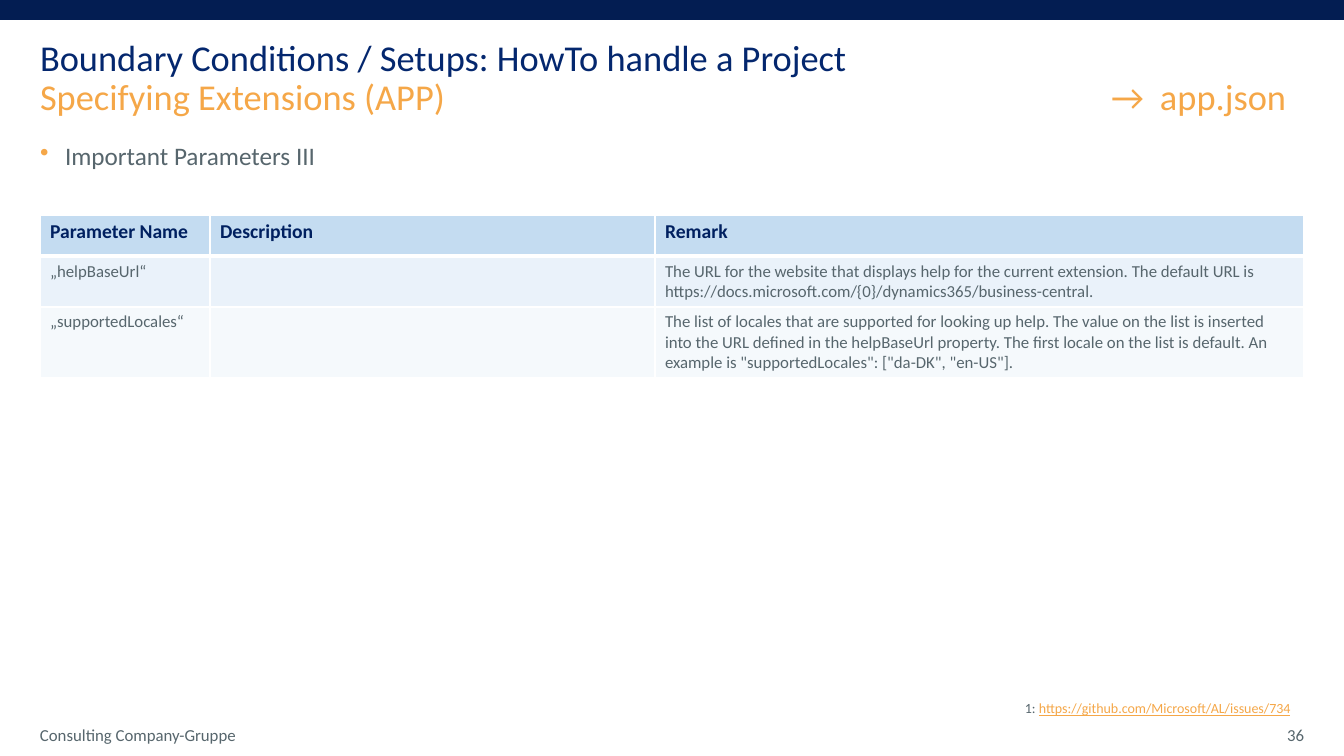
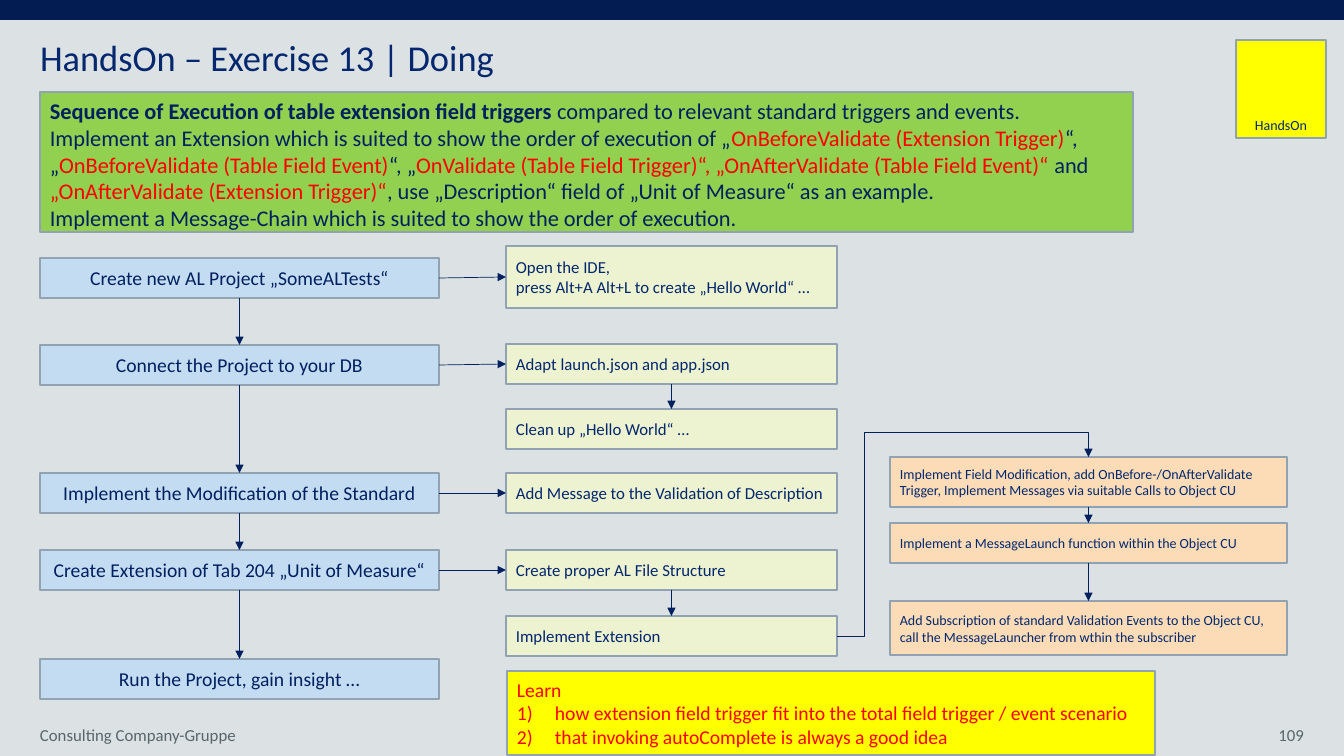
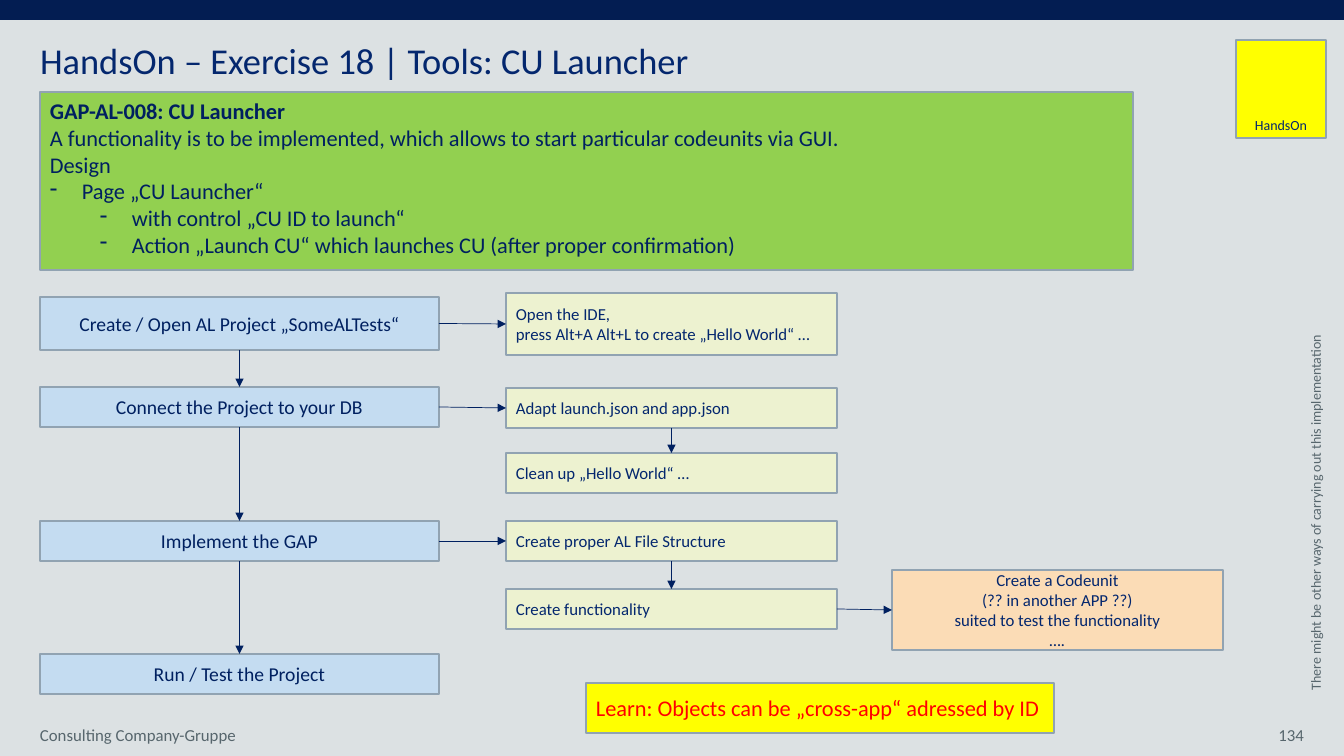
from dataclasses import dataclass
from itertools import pairwise

from lxml import etree
from pptx import Presentation
from pptx.dml.color import RGBColor
from pptx.enum.shapes import MSO_CONNECTOR, MSO_SHAPE
from pptx.enum.text import MSO_ANCHOR, PP_ALIGN
from pptx.oxml.ns import qn
from pptx.util import Emu, Pt

PX = 914400 / 100.8
FONT = "Calibri"
LEFT, CENTER, RIGHT = PP_ALIGN.LEFT, PP_ALIGN.CENTER, PP_ALIGN.RIGHT
TOP, MIDDLE, BOTTOM = MSO_ANCHOR.TOP, MSO_ANCHOR.MIDDLE, MSO_ANCHOR.BOTTOM
RECT = MSO_SHAPE.RECTANGLE
STRAIGHT, ELBOW = MSO_CONNECTOR.STRAIGHT, MSO_CONNECTOR.ELBOW
SITE_TOP, SITE_LEFT, SITE_BOTTOM, SITE_RIGHT = range(4)

WHITE = RGBColor(0xFF, 0xFF, 0xFF)
MIST = RGBColor(0xDC, 0xE1, 0xE3)
BAND = RGBColor(0x03, 0x1D, 0x52)
NAVY = RGBColor(0x04, 0x27, 0x6E)
INK = RGBColor(0x00, 0x20, 0x60)
GRAY = RGBColor(0x57, 0x66, 0x6D)
ORANGE = RGBColor(0xF5, 0xA7, 0x48)
RED = RGBColor(0xFF, 0x00, 0x00)
YELLOW = RGBColor(0xFF, 0xFF, 0x00)
GREEN = RGBColor(0x92, 0xD0, 0x50)
BLUE = RGBColor(0xC4, 0xDC, 0xF1)
OLIVE = RGBColor(0xED, 0xF2, 0xD0)
PEACH = RGBColor(0xFB, 0xDC, 0xB6)
OUTLINE = RGBColor(0x91, 0xA3, 0xB2)
ROW_FILLS = [BLUE, RGBColor(0xEA, 0xF2, 0xFA), RGBColor(0xF5, 0xF9, 0xFC)]


@dataclass
class Run:
    text: str
    color: RGBColor | None = None
    bold: bool = False
    italic: bool = False
    underline: bool = False


@dataclass
class Para:
    runs: list
    bullet: str = ""
    indent: int = 0
    hanging: int = 0
    level: int = 0
    bullet_color: RGBColor | None = None
    tabs: tuple = ()
    line_spacing: float | None = None


# Content
FOOTER = "Consulting Company-Gruppe"
NUMBERED = "arabicParenR"

PARAMETER_TITLE = [
    Run("Boundary Conditions / Setups: HowTo handle a Project\n"),
    Run("Specifying Extensions (APP)\t→\tapp.json", ORANGE),
]
PARAMETER_TABS = (1071, 1120)
PARAMETER_COLUMNS = [170, 445, 649]
PARAMETER_ROW_HEIGHTS = [41, 51, 70]
PARAMETERS = [
    ("Parameter Name", "Description", "Remark"),
    ("„helpBaseUrl“", "",
     "The URL for the website that displays help for the current extension. The default URL is "
     "https://docs.microsoft.com/{0}/dynamics365/business-central."),
    ("„supportedLocales“", "",
     "The list of locales that are supported for looking up help. The value on the list is "
     "inserted into the URL defined in the helpBaseUrl property. The first locale on the list "
     'is default. An example is "supportedLocales": ["da-DK", "en-US"].'),
]
SOURCE = Para([Run("1: "),
               Run("https://github.com/Microsoft/AL/issues/734", ORANGE, underline=True)])

OPEN_EDITOR = ["Open the IDE,", "press Alt+A Alt+L to create „Hello World“ …"]
ADAPT = ["Adapt launch.json and app.json"]
CLEAN_UP = ["Clean up „Hello World“ …"]
FILE_STRUCTURE = ["Create proper AL File Structure"]
CONNECT = "Connect the Project to your DB"

TRIGGER_TASK = [
    Para([
        Run("Sequence of Execution of table extension field triggers ", bold=True),
        Run("compared to relevant standard triggers and events.\n"),
        Run("Implement an Extension which is suited to show the order of execution of „"),
        Run("OnBeforeValidate (Extension Trigger)", RED),
        Run("“, „"),
        Run("OnBeforeValidate (Table Field Event)", RED),
        Run("“, „"),
        Run("OnValidate (Table Field Trigger)“, „OnAfterValidate (Table Field Event)“ ", RED),
        Run("and"),
        Run(" „OnAfterValidate (Extension Trigger)“", RED),
        Run(", use „Description“ field of „Unit of Measure“ as an example."),
    ]),
    "Implement a Message-Chain which is suited to show the order of execution.",
]
# Each step: top, height, text, details; each detail: top, height, lines
TRIGGER_FLOW = [
    (258, 40, "Create new AL Project „SomeALTests“", [(246, 62, OPEN_EDITOR)]),
    (345, 40, CONNECT, [(344, 40, ADAPT), (409, 40, CLEAN_UP)]),
    (473, 40, "Implement the Modification of the Standard",
     [(473, 40, ["Add Message to the Validation of Description"])]),
    (550, 40, "Create Extension of Tab 204 „Unit of Measure“",
     [(550, 40, FILE_STRUCTURE), (616, 40, ["Implement Extension"])]),
    (659, 40, "Run the Project, gain insight …", []),
]
EXTENSION_TASKS = [
    (457, 50, ["Implement Field Modification, add OnBefore-/OnAfterValidate Trigger, "
               "Implement Messages via suitable Calls to Object CU"]),
    (523, 40, ["Implement a MessageLaunch function within the Object CU"]),
    (601, 54, ["Add Subscription of standard Validation Events to the Object CU,",
               "call the MessageLauncher from wthin the subscriber"]),
]
TRIGGER_LESSONS = [
    "Learn",
    Para([Run("how extension field trigger fit into the total field trigger / event scenario")],
         NUMBERED, 38, 38),
    Para([Run("that invoking autoComplete is always a good idea")], NUMBERED, 38, 38),
]

LAUNCHER_TASK = [
    Para([Run("GAP-AL-008: CU Launcher", bold=True)]),
    "A functionality is to be implemented, which allows to start particular codeunits via GUI.",
    "Design",
    Para([Run("Page „CU Launcher“")], "-", 32, 32),
    Para([Run("with control „CU ID to launch“")], "-", 82, 32, 1),
    Para([Run("Action „Launch CU“ which launches CU (after proper confirmation)")], "-", 82, 32, 1),
]
LAUNCHER_FLOW = [
    (297, 53, "Create / Open AL Project „SomeALTests“", [(293, 62, OPEN_EDITOR)]),
    (387, 40, CONNECT, [(388, 40, ADAPT), (453, 40, CLEAN_UP)]),
    (521, 40, "Implement the GAP",
     [(521, 40, FILE_STRUCTURE), (589, 40, ["Create functionality"])]),
    (654, 40, "Run / Test the Project", []),
]
CODEUNIT_TASK = ["Create a Codeunit", "(?? in another APP ??)", "suited to test the functionality",
                 Para([Run("….", italic=True)])]


def px(value):
    return Emu(round(value * PX))


def box_px(*values):
    return [px(value) for value in values]


def sub(parent, tag, **attributes):
    return etree.SubElement(parent, qn(tag), attributes)


def add_bullet_and_tabs(paragraph, para):
    props = paragraph._p.get_or_add_pPr()
    if para.bullet:
        props.set("marL", str(px(para.indent)))
        props.set("indent", str(-px(para.hanging)))
        if para.bullet_color is not None:
            sub(sub(props, "a:buClr"), "a:srgbClr", val=str(para.bullet_color))
        if para.bullet == NUMBERED:
            sub(props, "a:buAutoNum", type=NUMBERED)
        else:
            sub(props, "a:buChar", char=para.bullet)
    if para.tabs:
        tab_list = sub(props, "a:tabLst")
        for position in para.tabs:
            sub(tab_list, "a:tab", pos=str(px(position)), algn="l")


def write(frame, paras, size, color, align=LEFT, anchor=TOP, inset=True, wrap=True):
    """Fill a text frame; plain strings become one-run paragraphs."""
    frame.word_wrap = wrap
    frame.vertical_anchor = anchor
    if not inset:
        frame.margin_left = frame.margin_right = frame.margin_top = frame.margin_bottom = 0
    for index, para in enumerate(paras):
        if isinstance(para, str):
            para = Para([Run(para)])
        paragraph = frame.add_paragraph() if index else frame.paragraphs[0]
        add_bullet_and_tabs(paragraph, para)
        paragraph.alignment = align
        paragraph.level = para.level
        if para.line_spacing:
            paragraph.line_spacing = para.line_spacing
        for item in para.runs:
            for part_index, part in enumerate(item.text.split("\n")):
                if part_index:
                    paragraph.add_line_break()
                if not part:
                    continue
                run = paragraph.add_run()
                run.text = part
                run.font.name = FONT
                run.font.size = Pt(size)
                run.font.bold = item.bold
                run.font.italic = item.italic
                run.font.underline = item.underline
                run.font.color.rgb = color if item.color is None else item.color


def add_text(slide, box, paras, size, color, **style):
    text_box = slide.shapes.add_textbox(*box_px(*box))
    write(text_box.text_frame, paras, size, color, **style)
    return text_box


def add_box(slide, box, fill, paras=(), size=12, color=NAVY, outline=OUTLINE, **style):
    shape = slide.shapes.add_shape(RECT, *box_px(*box))
    shape.shadow.inherit = False
    shape.fill.solid()
    shape.fill.fore_color.rgb = fill
    if outline is None:
        shape.line.fill.background()
    else:
        shape.line.color.rgb = outline
        shape.line.width = Pt(1)
    write(shape.text_frame, paras, size, color, **style)
    return shape


def add_arrow(slide, start, start_site, end, end_site, kind=STRAIGHT):
    arrow = slide.shapes.add_connector(kind, 0, 0, 0, 0)
    arrow.begin_connect(start, start_site)
    arrow.end_connect(end, end_site)
    arrow.line.color.rgb = INK
    arrow.line.width = Pt(0.5)
    sub(arrow.line._get_or_add_ln(), "a:tailEnd", type="triangle")
    sub(arrow._element.spPr, "a:effectLst")
    return arrow


def add_over_the_top_arrow(slide, start, end, run_out, rise):
    """Leave start to the right, climb above end, and drop onto it."""
    arrow = add_arrow(slide, start, SITE_RIGHT, end, SITE_TOP, ELBOW)
    geometry = arrow._element.spPr.find(qn("a:prstGeom"))
    geometry.set("prst", "bentConnector4")
    guides = geometry.find(qn("a:avLst"))
    if guides is None:
        guides = sub(geometry, "a:avLst")
    ratios = {"adj1": px(run_out) / arrow.width, "adj2": 1 + px(rise) / arrow.height}
    for name, ratio in ratios.items():
        sub(guides, "a:gd", name=name, fmla=f"val {round(ratio * 100000)}")


def chain_down(slide, boxes):
    for upper, lower in pairwise(boxes):
        add_arrow(slide, upper, SITE_BOTTOM, lower, SITE_TOP)


def add_flow(slide, flow):
    """Draw the steps with their details and return the last detail box."""
    steps = []
    last_detail = None
    for top, height, text, details in flow:
        step = add_box(slide, (40, top, 399, height), BLUE, [text], 14, INK,
                       align=CENTER, anchor=MIDDLE)
        steps.append(step)
        detail_boxes = [add_box(slide, (506, y, 331, h), OLIVE, lines, anchor=MIDDLE)
                        for y, h, lines in details]
        if detail_boxes:
            add_arrow(slide, step, SITE_RIGHT, detail_boxes[0], SITE_LEFT)
            chain_down(slide, detail_boxes)
            last_detail = detail_boxes[-1]
    chain_down(slide, steps)
    return last_detail


def new_slide(prs, number, title, background, title_top=40, tabs=()):
    slide = prs.slides.add_slide(prs.slide_layouts[6])
    slide.background.fill.solid()
    slide.background.fill.fore_color.rgb = background
    add_box(slide, (0, 0, 1344, 20), BAND, outline=None)
    add_text(slide, (40, title_top, 1264, 80), [Para(title, tabs=tabs, line_spacing=0.9)],
             26, NAVY, inset=False)
    add_text(slide, (40, 715, 302, 40), [FOOTER], 12, GRAY, anchor=MIDDLE, inset=False)
    add_text(slide, (1026, 715, 278, 40), [str(number)], 12, GRAY,
             align=RIGHT, anchor=MIDDLE, inset=False)
    return slide


def new_exercise(prs, number, title, task, task_height, title_top=40):
    slide = new_slide(prs, number, [Run(title)], MIST, title_top)
    add_box(slide, (1236, 40, 90, 98), YELLOW, ["HandsOn"], 10, align=CENTER, anchor=BOTTOM)
    add_box(slide, (40, 92, 1093, task_height), GREEN, task, 16, INK)
    return slide


def add_border(cell, position, side, width):
    line = etree.Element(qn(f"a:ln{side}"), w=str(Pt(width)))
    sub(sub(line, "a:solidFill"), "a:srgbClr", val=str(WHITE))
    cell._tc.get_or_add_tcPr().insert(position, line)


def add_parameter_table(slide):
    table = slide.shapes.add_table(
        len(PARAMETERS), len(PARAMETER_COLUMNS),
        *box_px(40, 215, sum(PARAMETER_COLUMNS), sum(PARAMETER_ROW_HEIGHTS))).table
    for column, width in zip(table.columns, PARAMETER_COLUMNS):
        column.width = px(width)
    for row_index, (row, height) in enumerate(zip(table.rows, PARAMETER_ROW_HEIGHTS)):
        row.height = px(height)
        header = row_index == 0
        for cell, text in zip(row.cells, PARAMETERS[row_index]):
            cell.fill.solid()
            cell.fill.fore_color.rgb = ROW_FILLS[row_index]
            widths = {"L": 1, "R": 1, "T": 3 if row_index == 1 else 1, "B": 3 if header else 1}
            for position, (side, width) in enumerate(widths.items()):
                add_border(cell, position, side, width)
            write(cell.text_frame, [Para([Run(text, bold=header)])],
                  14 if header else 12, INK if header else GRAY)


def build_parameters(prs):
    slide = new_slide(prs, 36, PARAMETER_TITLE, WHITE, tabs=PARAMETER_TABS)
    heading = Para([Run("Important Parameters III")], "•", 25, 25, bullet_color=ORANGE)
    add_text(slide, (40, 140, 682, 41), [heading], 18, GRAY, inset=False)
    add_parameter_table(slide)
    add_text(slide, (1015, 695, 289, 27), [SOURCE], 10, GRAY)


def build_trigger_exercise(prs):
    slide = new_exercise(prs, 109, "HandsOn – Exercise 13 | Doing", TRIGGER_TASK, 140)
    extension = add_flow(slide, TRIGGER_FLOW)
    tasks = [add_box(slide, (890, top, 397, height), PEACH, lines, 10, anchor=MIDDLE)
             for top, height, lines in EXTENSION_TASKS]
    chain_down(slide, tasks)
    add_over_the_top_arrow(slide, extension, tasks[0], 27, 25)
    add_box(slide, (507, 671, 648, 84), YELLOW, TRIGGER_LESSONS, 14, RED, anchor=MIDDLE)


def build_launcher_exercise(prs):
    slide = new_exercise(prs, 134, "HandsOn – Exercise 18 | Tools: CU Launcher",
                         LAUNCHER_TASK, 178, title_top=43)
    functionality = add_flow(slide, LAUNCHER_FLOW)
    codeunit = add_box(slide, (892, 570, 331, 80), PEACH, CODEUNIT_TASK,
                       align=CENTER, anchor=MIDDLE)
    add_arrow(slide, functionality, SITE_RIGHT, codeunit, SITE_LEFT)
    add_box(slide, (586, 683, 468, 50), YELLOW,
            ["Learn: Objects can be „cross-app“ adressed by ID"], 16, RED, anchor=MIDDLE)
    remark = add_text(slide, (1125, 496, 381, 27),
                      ["There might be other ways of carrying out this implementation"],
                      10, GRAY, wrap=False)
    remark.rotation = 270


def main():
    prs = Presentation()
    prs.slide_width, prs.slide_height = box_px(1344, 756)
    build_parameters(prs)
    build_trigger_exercise(prs)
    build_launcher_exercise(prs)
    prs.save("out.pptx")


if __name__ == "__main__":
    main()
